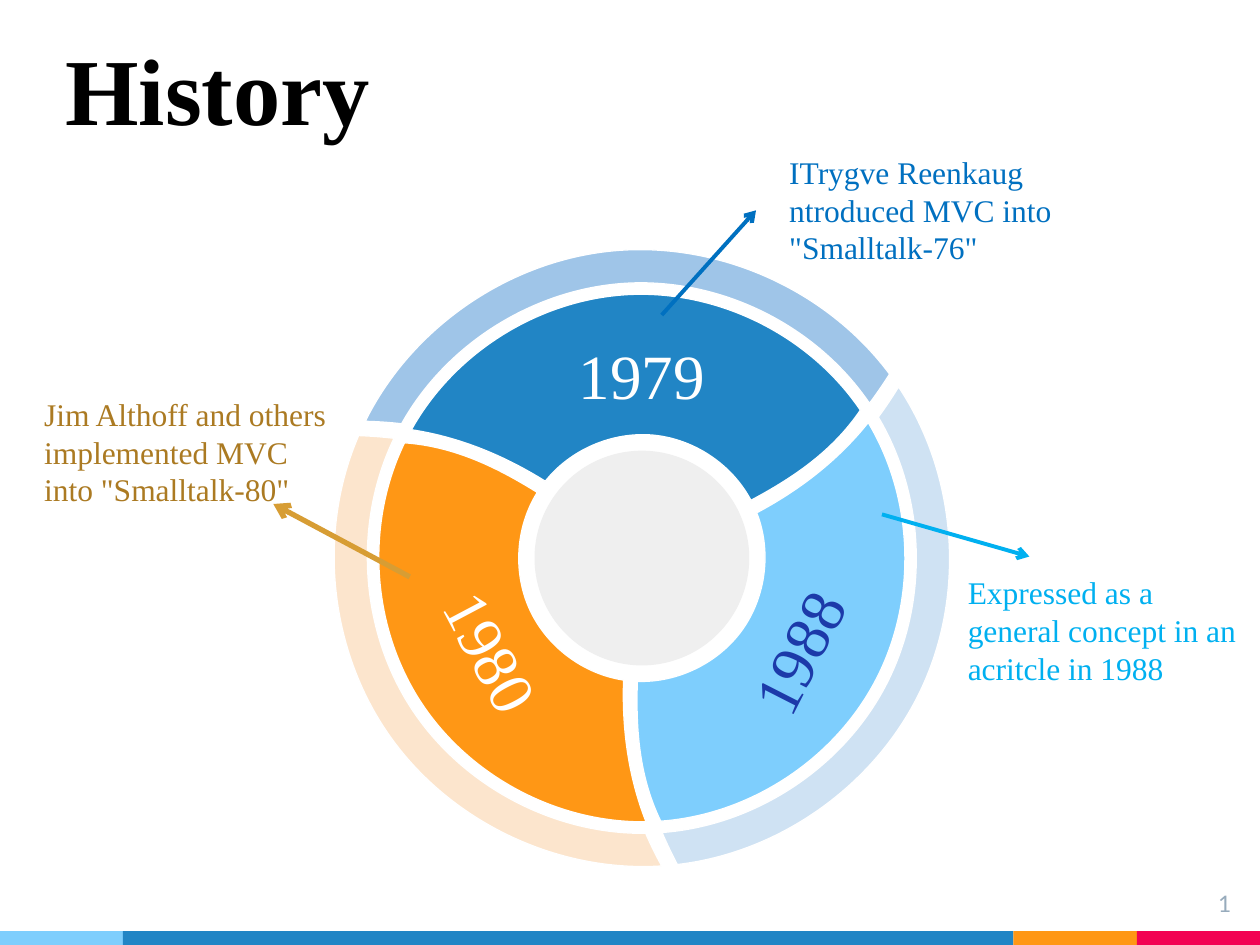
import math

import pptx
import pptx.dml.color
import pptx.enum.shapes
import pptx.enum.text
import pptx.oxml.ns
import pptx.util
from lxml import etree

Cm = pptx.util.Cm
qn = pptx.oxml.ns.qn
ALIGN = pptx.enum.text.PP_ALIGN
ANCHOR = pptx.enum.text.MSO_ANCHOR
FIT = pptx.enum.text.MSO_AUTO_SIZE
SHAPE = pptx.enum.shapes.MSO_SHAPE
COLOURS = {
    "black": "000000", "white": "FFFFFF", "hub": "EFEFEF", "number": "97ABBC",
    "blue": "2185C5", "blue rim": "9FC5E8", "blue note": "0070C0",
    "sky": "7ECEFD", "sky rim": "CFE2F3", "sky note": "00B0F0", "navy": "1C3AA9",
    "orange": "FF9715", "orange rim": "FCE5CD", "orange note": "AB7A22",
    "gold": "D79D34", "pink": "F20253",
}


def colour(name):
    """Return the named colour."""
    return pptx.dml.color.RGBColor.from_string(COLOURS[name])


def write(holder, text, size=18, ink="black", font="Times New Roman", bold=False,
          align=ALIGN.LEFT, anchor=ANCHOR.TOP, inset=0.25, fit=FIT.NONE):
    """Put formatted text into a shape."""
    frame = holder.text_frame
    frame.word_wrap = True
    frame.auto_size = fit
    frame.vertical_anchor = anchor
    frame.margin_left = frame.margin_right = Cm(0.25)
    frame.margin_top = frame.margin_bottom = Cm(inset)
    paragraph = frame.paragraphs[0]
    paragraph.alignment = align
    run = paragraph.add_run()
    run.text = text
    run.font.name = font
    run.font.size = pptx.util.Pt(size)
    run.font.bold = bold
    run.font.color.rgb = colour(ink)


def paint(part, fill, outline=None):
    """Fill a shape and give it an optional thin outline."""
    part.shadow.inherit = False
    part.fill.solid()
    part.fill.fore_color.rgb = colour(fill)
    if outline:
        part.line.color.rgb = colour(outline)
        part.line.width = pptx.util.Pt(0.75)
    else:
        part.line.fill.background()


def polar(centre, radius, degrees):
    """Return the point at an angle and radius around a centre."""
    angle = math.radians(degrees)
    return (centre[0] + radius * math.cos(angle), centre[1] + radius * math.sin(angle))


def bezier(centre, start, end, bow=0):
    """Return two controls and the end of a curve between polar positions."""
    def at(t):
        return polar(centre, start[0] + (end[0] - start[0]) * t,
                     start[1] + (end[1] - start[1]) * t + 4 * bow * t * (1 - t))

    def control(t, near):
        return tuple(p + (q - p) / (3 * abs(near - t)) for p, q in zip(at(t), at(near)))

    return [control(0, 0.001), control(1, 0.999), at(1)]


def wedge(slide, centre, inner, outer, inner_span, outer_span, bows, fill):
    """Draw a ring sector whose sides bow by the given degrees."""
    corners = [(inner, inner_span[0]), (outer, outer_span[0]), (outer, sum(outer_span) / 2),
               (outer, outer_span[1]), (inner, inner_span[1]), (inner, sum(inner_span) / 2)]
    bends = [bows[0], 0, 0, bows[1], 0, 0]
    points = [polar(centre, *corners[0])]
    for start, end, bow in zip(corners, corners[1:] + corners[:1], bends):
        points += bezier(centre, start, end, bow)
    points = [(Cm(x), Cm(y)) for x, y in points]
    builder = slide.shapes.build_freeform(*points[0])
    builder.add_line_segments(points[1:], close=True)
    sector = builder.convert_to_shape()
    lines = list(sector._element.iter(qn("a:lnTo")))
    for first, second, last in zip(lines[::3], lines[1::3], lines[2::3]):
        first.tag = qn("a:cubicBezTo")
        first.extend([second[0], last[0]])
        for spent in (second, last):
            spent.getparent().remove(spent)
    paint(sector, fill, "white")


def year_wheel(slide, left, top, size):
    """Draw the hub, the three sectors with their rims, and the years."""
    radius = size / 2
    centre = (left + radius, top + radius)
    hub_radius = 0.348 * radius
    hub = slide.shapes.add_shape(
        SHAPE.OVAL, Cm(centre[0] - hub_radius), Cm(centre[1] - hub_radius),
        Cm(2 * hub_radius), Cm(2 * hub_radius))
    paint(hub, "hub")
    sectors = [("1988", "sky", "navy", 0, 0.588, 31, 297),
               ("1979", "blue", "white", 240, 0.597, 270, 0),
               ("1980", "orange", "white", 120, 0.57, 148, 62.1)]
    for year, fill, ink, turn, reach, label_angle, tilt in sectors:
        wedge(slide, centre, 0.892 * radius, radius, (turn - 30.8, turn + 85.8),
              (turn - 33.7, turn + 83.4), (0, 0), fill + " rim")
        wedge(slide, centre, 0.4 * radius, 0.855 * radius, (turn - 21.5, turn + 92.1),
              (turn - 30.9, turn + 85.9), (0.5, 1.5), fill)
        x, y = polar(centre, reach * radius, label_angle)
        label = slide.shapes.add_textbox(Cm(x - 2.59), Cm(y - 0.93), Cm(5.18), Cm(1.86))
        label.rotation = tilt
        write(label, year, size=36, ink=ink, align=ALIGN.CENTER, anchor=ANCHOR.MIDDLE)


def callout(slide, left, top, width, text, ink, start, end, arrow_ink, weight):
    """Place a note, and an arrow whose ends are relative to the note."""
    arrow = slide.shapes.add_connector(
        pptx.enum.shapes.MSO_CONNECTOR.STRAIGHT,
        Cm(left + start[0]), Cm(top + start[1]), Cm(left + end[0]), Cm(top + end[1]))
    arrow.line.color.rgb = colour(arrow_ink)
    arrow.line.width = pptx.util.Pt(weight)
    tail = etree.SubElement(arrow.line._get_or_add_ln(), qn("a:tailEnd"))
    tail.set("type", "arrow")
    etree.SubElement(arrow._element.spPr, qn("a:effectLst"))
    note = slide.shapes.add_textbox(Cm(left), Cm(top), Cm(width), Cm(2.57))
    write(note, text, ink=ink, inset=0.13, fit=FIT.SHAPE_TO_FIT_TEXT)


def footer_band(slide, left, top, height):
    """Draw the coloured strips side by side."""
    for fill, width in [("sky", 2.48), ("blue", 17.95), ("orange", 2.49), ("pink", 2.48)]:
        strip = slide.shapes.add_shape(SHAPE.RECTANGLE, Cm(left), Cm(top), Cm(width), Cm(height))
        paint(strip, fill)
        left += width


def heading(slide, left, top, width, height):
    """Place the slide title."""
    title = slide.shapes.title
    title.left, title.top, title.width, title.height = map(Cm, (left, top, width, height))
    write(title, "History", size=54, bold=True, anchor=ANCHOR.BOTTOM)


def history_slide(deck):
    """Build the history slide."""
    slide = deck.slides.add_slide(deck.slide_layouts[5])
    footer_band(slide, 0, 18.77, 0.28)
    heading(slide, 1.07, 1.27, 17.96, 1.9)
    year_wheel(slide, 6.72, 5.03, 12.44)
    page_number = slide.shapes.add_textbox(Cm(23.55), Cm(17.68), Cm(1.52), Cm(1.17))
    write(page_number, "1", size=13, ink="number", font="Lato", align=ALIGN.RIGHT)
    callout(slide, 15.66, 2.95, 6.2, 'ITrygve Reenkaug ntroduced MVC into "Smalltalk-76"',
            "blue note", (-2.32, 3.4), (-0.42, 1.29), "blue note", 2.25)
    callout(slide, 0.64, 7.83, 6.55,
            'Jim Althoff and others implemented MVC into "Smalltalk-80"',
            "orange note", (7.62, 3.8), (4.87, 2.33), "gold", 3)
    callout(slide, 19.26, 11.43, 6.14, "Expressed as a general concept in an acritcle in 1988",
            "sky note", (-1.48, -1.06), (1.49, -0.21), "sky note", 2.25)


deck = pptx.Presentation()
deck.slide_width, deck.slide_height = Cm(25.4), Cm(19.05)
history_slide(deck)
deck.save("out.pptx")
